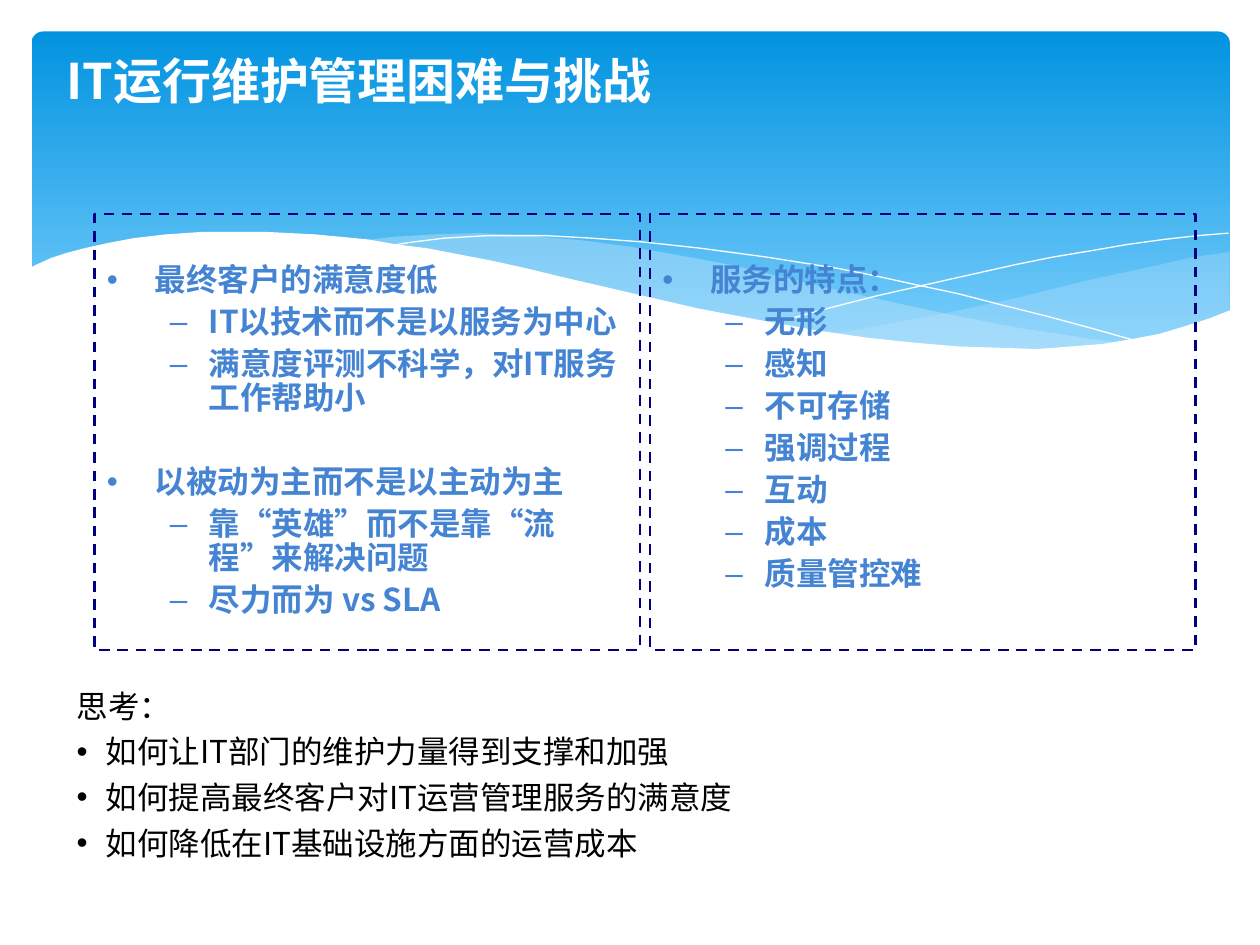
from pptx import Presentation
from pptx import util as u
from pptx.dml.color import RGBColor
from pptx.enum import dml, shapes, text
from pptx.oxml.ns import qn
from lxml import etree

COLORS = {"sky": "0293E0", "pale": "83D3FE", "mist": "C6E7FC", "white": "FFFFFF",
          "navy": "000080", "blue": "4584D3", "black": "000000"}
FONT = "Noto Sans CJK SC"
QUOTE_FONT = "Arial"

BAND_RIGHT = [(9.76, 2), (9.48, 2.04), (9.21, 2.1), (8.61, 2.23), (8.05, 2.37),
              (7.53, 2.48), (7.06, 2.57), (6.61, 2.65), (6.91, 2.69), (7.18, 2.73),
              (7.45, 2.75), (7.81, 2.77), (8.14, 2.78), (8.54, 2.76), (8.81, 2.73),
              (9.05, 2.69), (9.28, 2.63), (9.49, 2.57), (9.76, 2.47)]
BAND_CENTER = [(8.93, 2.73), (8.66, 2.69), (8.07, 2.6), (7.41, 2.47), (6.68, 2.31),
               (6.29, 2.22), (5.84, 2.11), (5.41, 2.03), (5.01, 1.96), (4.64, 1.91),
               (4.2, 1.87), (3.8, 1.85), (3.44, 1.86), (3.13, 1.88), (2.86, 1.91),
               (3.23, 1.96), (3.62, 2.03), (4.04, 2.11), (4.49, 2.22), (4.91, 2.32),
               (5.3, 2.4), (5.66, 2.48), (6.01, 2.55), (6.34, 2.61), (6.65, 2.66),
               (6.95, 2.7), (7.22, 2.74), (7.48, 2.76), (7.85, 2.78), (8.18, 2.79),
               (8.48, 2.78), (8.76, 2.75)]
LINE_FALLING = [(3.09, 1.95), (3.28, 1.92), (3.53, 1.89), (3.87, 1.87), (4.33, 1.87),
                (4.69, 1.89), (5.1, 1.92), (5.56, 1.97), (6.08, 2.04), (6.65, 2.13),
                (6.95, 2.19), (7.27, 2.26), (7.6, 2.33), (7.95, 2.42), (8.31, 2.51),
                (8.68, 2.61), (9.07, 2.72)]
LINE_RISING = [(6.13, 2.57), (6.52, 2.46), (6.95, 2.35), (7.48, 2.23), (8.06, 2.1),
               (8.36, 2.04), (8.66, 1.99), (8.95, 1.94), (9.24, 1.9), (9.51, 1.87),
               (9.75, 1.85)]
GROUND = [(9.77, 2.46), (9.59, 2.53), (9.4, 2.59), (9.2, 2.65), (8.99, 2.69),
          (8.75, 2.73), (8.5, 2.75), (8.23, 2.77), (7.93, 2.76), (7.61, 2.75),
          (7.26, 2.72), (6.88, 2.68), (6.47, 2.62), (6.03, 2.54), (5.55, 2.45),
          (5.03, 2.33), (4.47, 2.2), (4.18, 2.13), (3.91, 2.07), (3.65, 2.02),
          (3.39, 1.97), (3.15, 1.94), (2.92, 1.9), (2.71, 1.88), (2.5, 1.86),
          (2.11, 1.84), (1.61, 1.84), (1.32, 1.86), (1.06, 1.89), (0.85, 1.93),
          (0.67, 1.97), (0.52, 2.01), (0.4, 2.05), (0.29, 2.1), (0.23, 2.13),
          (0.23, 3.29), (9.77, 3.29)]

PANELS = [
    [(0, "最终客户的满意度低"), (1, "IT以技术而不是以服务为中心"),
     (1, "满意度评测不科学，对IT服务工作帮助小"), (0, "以被动为主而不是以主动为主"),
     (1, "靠|“|英雄|”|而不是靠|“|流程|”|来解决问题"), (1, "尽力而为 vs SLA")],
    [(0, "服务的特点："), (1, "无形"), (1, "感知"), (1, "不可存储"),
     (1, "强调过程"), (1, "互动"), (1, "成本"), (1, "质量管控难")],
]
QUESTIONS = ["如何让IT部门的维护力量得到支撑和加强", "如何提高最终客户对IT运营管理服务的满意度",
             "如何降低在IT基础设施方面的运营成本"]


def rgb(name):
    return RGBColor.from_string(COLORS[name])


class SlideBuilder:
    def __init__(self, page):
        self.page = page

    def banner(self, left, top, width, height):
        box = self.page.shapes.add_shape(
            shapes.MSO_SHAPE.ROUNDED_RECTANGLE, *map(u.Inches, (left, top, width, height)))
        box.adjustments[0] = 0.034
        box.shadow.inherit = False
        box.line.fill.background()
        box.fill.gradient()
        box.fill.gradient_angle = 270
        for stop, position, color in zip(box.fill.gradient_stops, (0, 1), ("sky", "pale")):
            stop.position = position
            stop.color.rgb = rgb(color)

    def outline(self, points, closed):
        corners = [(u.Inches(x), u.Inches(y)) for x, y in points]
        builder = self.page.shapes.build_freeform(*corners[0])
        builder.add_line_segments(corners[1:], close=closed)
        shape = builder.convert_to_shape()
        shape.shadow.inherit = False
        return shape

    def wave(self, points, color, opacity=100):
        shape = self.outline(points, True)
        shape.line.fill.background()
        shape.fill.solid()
        shape.fill.fore_color.rgb = rgb(color)
        if opacity < 100:
            fill = shape.fill._xPr.find(qn("a:solidFill"))
            etree.SubElement(fill[0], qn("a:alpha"), val=str(opacity * 1000))

    def curve(self, points):
        shape = self.outline(points, False)
        shape.fill.background()
        shape.line.color.rgb = rgb("white")
        shape.line.width = u.Pt(0)

    def text_box(self, left, top, width, height):
        box = self.page.shapes.add_textbox(*map(u.Inches, (left, top, width, height)))
        box.text_frame.word_wrap = True
        return box

    def panel(self, left, top, width, height):
        box = self.page.shapes.add_shape(
            shapes.MSO_SHAPE.RECTANGLE, *map(u.Inches, (left, top, width, height)))
        box.shadow.inherit = False
        box.fill.background()
        box.line.color.rgb = rgb("navy")
        box.line.width = u.Pt(1.5)
        box.line.dash_style = dml.MSO_LINE.DASH
        box.text_frame.word_wrap = True
        box.text_frame.vertical_anchor = text.MSO_ANCHOR.TOP
        box.text_frame.margin_top = u.Inches(0.4)
        return box

    def paragraph(self, box, content, color, size=18, bold=False, bullet=None,
                  margin=0, hanging=0, before=4.5, spacing=1.0, level=0):
        frame = box.text_frame
        first = not frame.text
        para = frame.paragraphs[0] if first else frame.add_paragraph()
        para.alignment = text.PP_ALIGN.LEFT
        para.level = level
        para.line_spacing = spacing
        para.space_before = u.Pt(0 if first else before)
        if bullet:
            properties = para._p.get_or_add_pPr()
            properties.set("marL", str(u.Inches(margin)))
            properties.set("indent", str(-u.Inches(hanging)))
            tint = etree.SubElement(properties, qn("a:buClr"))
            etree.SubElement(tint, qn("a:srgbClr"), val=COLORS[color])
            etree.SubElement(properties, qn("a:buFont"), typeface="Arial")
            etree.SubElement(properties, qn("a:buChar"), char=bullet)
        for part in content.split("|"):
            span = para.add_run()
            span.text = part
            span.font.size = u.Pt(size)
            span.font.bold = bold
            span.font.color.rgb = rgb(color)
            span.font.name = QUOTE_FONT if part in ("“", "”") else FONT
            etree.SubElement(span._r.get_or_add_rPr(), qn("a:ea"), typeface=FONT)


def main():
    deck = Presentation()
    deck.slide_width, deck.slide_height = u.Inches(10), u.Inches(7.5)
    slide = SlideBuilder(deck.slides.add_slide(deck.slide_layouts[6]))

    slide.banner(0.25, 0.25, 9.51, 2.7)
    slide.wave(BAND_RIGHT, "mist", 29)
    slide.wave(BAND_CENTER, "mist", 40)
    slide.curve(LINE_FALLING)
    slide.curve(LINE_RISING)
    slide.wave(GROUND, "white")

    title = slide.text_box(0.43, 0.28, 6.06, 0.71)
    title.text_frame.vertical_anchor = text.MSO_ANCHOR.MIDDLE
    slide.paragraph(title, "IT运行维护管理困难与挑战", "white", size=28, bold=True)

    for column, items in enumerate(PANELS):
        panel = slide.panel(0.75 + column * 4.41, 1.7, 4.33, 3.46)
        for level, content in items:
            bullet, margin, hanging, before = (
                ("–", 0.81, 0.31, 4.5) if level else ("•", 0.38, 0.38, 28.5))
            slide.paragraph(panel, content, "blue", bold=True, bullet=bullet, margin=margin,
                            hanging=hanging, before=before, spacing=0.9, level=level)

    questions = slide.text_box(0.51, 5.4, 8.98, 1.49)
    slide.paragraph(questions, "思考：", "black")
    for question in QUESTIONS:
        slide.paragraph(questions, question, "black", bullet="•", margin=0.23, hanging=0.23)

    deck.save("out.pptx")


if __name__ == "__main__":
    main()
